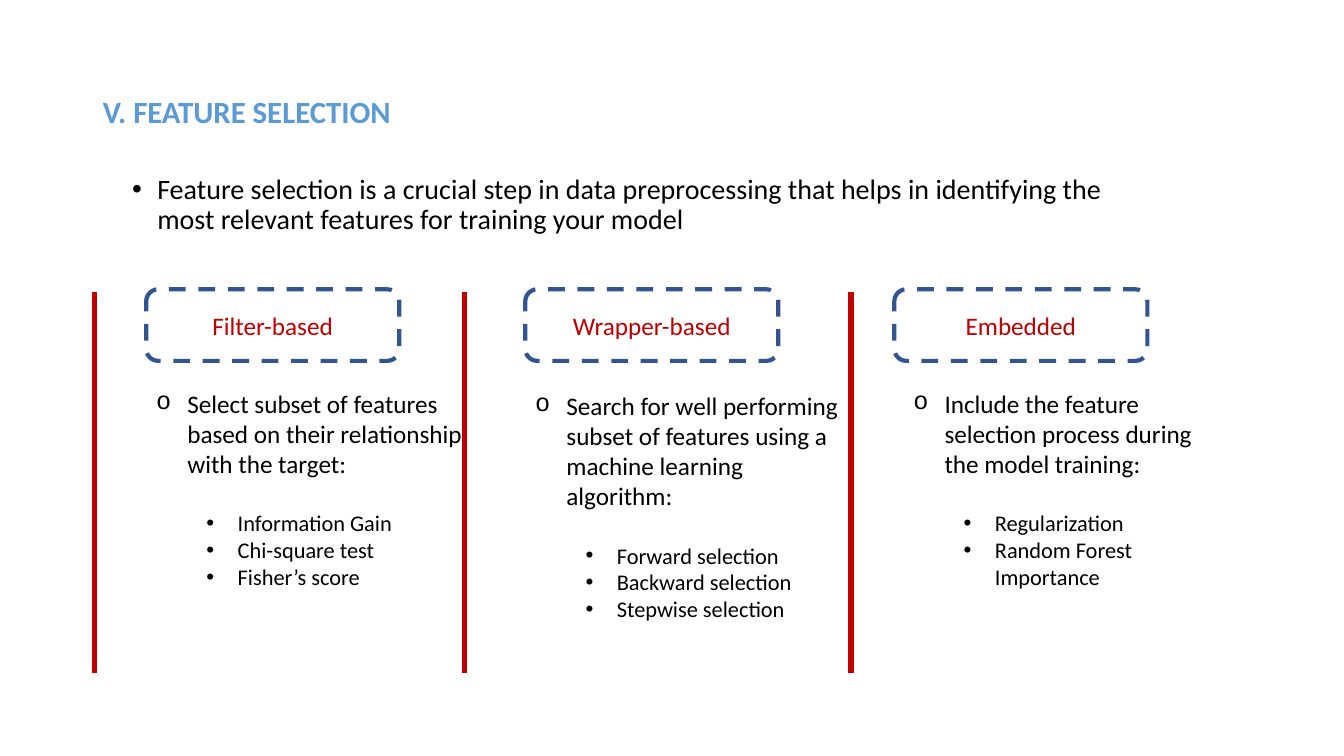
from dataclasses import dataclass

from lxml import etree
from pptx import Presentation
from pptx import util as u
from pptx.dml.color import RGBColor
from pptx.enum import dml, shapes, text
from pptx.oxml import ns

PX = 9144  # 100 px to the inch
FONT = "Calibri"
BLACK = RGBColor(0x00, 0x00, 0x00)
SKY = RGBColor(0x5B, 0x9B, 0xD5)
NAVY = RGBColor(0x32, 0x54, 0x91)
RED = RGBColor(0xC0, 0x00, 0x00)

LABEL_TOP, LABEL_WIDTH, LABEL_HEIGHT = 287, 251, 71
RULE_TOP, RULE_BOTTOM = 290, 668


@dataclass(frozen=True)
class Box:
    left: int
    top: int
    width: int
    height: int

    def emu(self) -> list[int]:
        return [n * PX for n in (self.left, self.top, self.width, self.height)]


@dataclass(frozen=True)
class Method:
    name: str
    summary: str
    examples: tuple[str, ...]
    rule_x: int
    label_x: int
    details: Box


METHODS = (
    Method("Filter-based",
           "Select subset of features based on their relationship with the target:",
           ("Information Gain", "Chi-square test", "Fisher’s score"),
           94, 145, Box(145, 380, 334, 374)),
    Method("Wrapper-based",
           "Search for well performing subset of features using a machine learning algorithm:",
           ("Forward selection", "Backward selection", "Stepwise selection"),
           461, 521, Box(521, 382, 334, 306)),
    Method("Embedded",
           "Include the feature selection process during the model training:",
           ("Regularization", "Random Forest Importance"),
           844, 887, Box(896, 380, 303, 273)),
)


def add_run(paragraph, words: str, size: int, color: RGBColor, bold: bool = False) -> None:
    run = paragraph.add_run()
    run.text = words
    run.font.name = FONT
    run.font.size = u.Pt(size)
    run.font.bold = bold
    run.font.color.rgb = color


def set_bullet(paragraph, char: str, font: str, indent: int, hang: int) -> None:
    """Give the paragraph a bullet that hangs left of its indent."""
    props = paragraph._p.get_or_add_pPr()
    props.set("marL", str(indent * PX))
    props.set("indent", str(-hang * PX))
    etree.SubElement(props, ns.qn("a:buFont"), typeface=font)
    etree.SubElement(props, ns.qn("a:buChar"), char=char)


def place(placeholder, box: Box, anchor):
    """Move a placeholder and return its first paragraph."""
    placeholder.left, placeholder.top, placeholder.width, placeholder.height = box.emu()
    frame = placeholder.text_frame
    frame.auto_size = text.MSO_AUTO_SIZE.NONE
    frame.vertical_anchor = anchor
    paragraph = frame.paragraphs[0]
    paragraph.alignment = text.PP_ALIGN.LEFT
    paragraph.line_spacing = 0.9
    return paragraph


def add_label(slide, method: Method) -> None:
    box = Box(method.label_x, LABEL_TOP, LABEL_WIDTH, LABEL_HEIGHT)
    label = slide.shapes.add_shape(shapes.MSO_SHAPE.ROUNDED_RECTANGLE, *box.emu())
    label.shadow.inherit = False
    label.fill.background()
    label.line.color.rgb = NAVY
    label.line.width = u.Pt(3)
    label.line.dash_style = dml.MSO_LINE.DASH
    label.text_frame.vertical_anchor = text.MSO_ANCHOR.MIDDLE
    paragraph = label.text_frame.paragraphs[0]
    paragraph.alignment = text.PP_ALIGN.CENTER
    add_run(paragraph, method.name, 18, RED)


def add_details(slide, method: Method) -> None:
    frame = slide.shapes.add_textbox(*method.details.emu()).text_frame
    frame.word_wrap = True
    frame.auto_size = text.MSO_AUTO_SIZE.SHAPE_TO_FIT_TEXT
    summary = frame.paragraphs[0]
    set_bullet(summary, "o", "Courier New", 31, 31)
    add_run(summary, method.summary, 18, BLACK)
    for index, example in enumerate(method.examples):
        item = frame.add_paragraph()
        item.level = 1
        item.space_before = u.Pt(0 if index else 22)
        set_bullet(item, "•", "Arial", 81, 31)
        add_run(item, example, 16, BLACK)


def add_rule(slide, x: int) -> None:
    rule = slide.shapes.add_connector(
        shapes.MSO_CONNECTOR.STRAIGHT, x * PX, RULE_TOP * PX, x * PX, RULE_BOTTOM * PX)
    rule.line.color.rgb = RED
    rule.line.width = u.Pt(3.75)
    etree.SubElement(rule._element.spPr, ns.qn("a:effectLst"))


def main() -> None:
    deck = Presentation()
    deck.slide_width, deck.slide_height = 1333 * PX, 750 * PX
    slide = deck.slides.add_slide(deck.slide_layouts[1])

    heading = place(slide.shapes.title, Box(92, 40, 1150, 145), text.MSO_ANCHOR.MIDDLE)
    add_run(heading, "V. FEATURE SELECTION", 22, SKY, bold=True)

    intro = place(slide.placeholders[1], Box(121, 169, 1029, 551), text.MSO_ANCHOR.TOP)
    intro.space_before = u.Pt(10)
    set_bullet(intro, "•", "Arial", 25, 25)
    add_run(intro, "Feature selection is a crucial step in data preprocessing that helps in "
                   "identifying the most relevant features for training your model", 20, BLACK)

    for method in METHODS:
        add_label(slide, method)
    for method in METHODS:
        add_details(slide, method)
    for method in METHODS:
        add_rule(slide, method.rule_x)
    deck.save("out.pptx")


if __name__ == "__main__":
    main()
